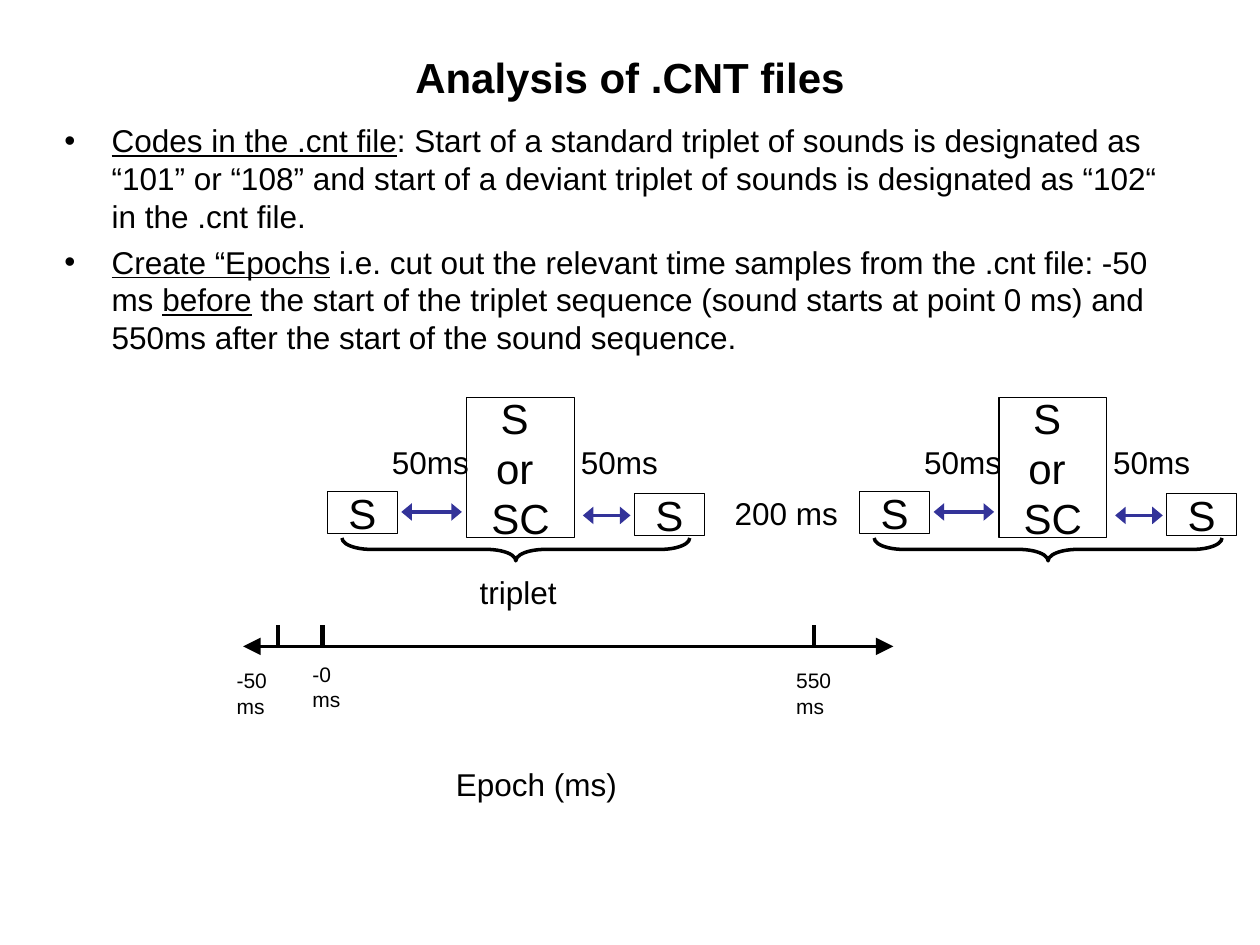
from dataclasses import dataclass
from typing import NamedTuple

from lxml.etree import SubElement
from pptx import Presentation
from pptx.dml.color import RGBColor
from pptx.enum.shapes import MSO_CONNECTOR as Connector
from pptx.enum.shapes import MSO_SHAPE as Preset
from pptx.enum.text import MSO_ANCHOR as Anchor
from pptx.enum.text import MSO_AUTO_SIZE as AutoSize
from pptx.enum.text import PP_ALIGN as Align
from pptx.oxml.ns import qn
from pptx.util import Cm, Pt


@dataclass(frozen=True)
class Theme:
    font: str = "Arial"
    ink: RGBColor = RGBColor(0, 0, 0)
    gap_arrow: RGBColor = RGBColor(0x33, 0x33, 0x99)
    heading: int = 24
    body: int = 18
    small: int = 12
    outline: float = 0.75
    stroke: float = 2
    tick: float = 2.5


class Box(NamedTuple):
    left: float
    top: float
    width: float
    height: float

    def lengths(self, shift: float = 0) -> list:
        return [Cm(self.left + shift), Cm(self.top), Cm(self.width), Cm(self.height)]


class Label(NamedTuple):
    text: str
    box: Box
    size: int
    wrap: bool = True


class Sound(NamedTuple):
    lines: tuple
    box: Box


class Gap(NamedTuple):
    start: float
    end: float
    y: float


class Tick(NamedTuple):
    x: float
    label: Label


THEME = Theme()
TRIPLET_PITCH = 10.73
AXIS_Y = 13.03
AXIS_START, AXIS_END = 4.9, 18.01
TICK_HEIGHT = 0.43

SOUNDS = (
    Sound(("S",), Box(6.6, 9.91, 1.41, 0.85)),
    Sound(("S ", "or ", "SC"), Box(9.41, 8.02, 2.17, 2.82)),
    Sound(("S",), Box(12.79, 9.95, 1.41, 0.85)),
)
GAPS = (Gap(8.09, 9.31, 10.32), Gap(11.75, 12.71, 10.39))
GAP_LABELS = (
    Label("50ms", Box(7.65, 8.8, 2.1, 1.01), THEME.body, False),
    Label("50ms", Box(11.46, 8.81, 2.1, 1.01), THEME.body, False),
)
BRACE = Box(10.17, 7.57, 0.46, 7.01)
TICKS = (
    Tick(5.6, Label("-50 ms", Box(4.52, 13.34, 1.53, 1.26), THEME.small)),
    Tick(6.5, Label("-0 ms", Box(6.05, 13.21, 1.12, 1.26), THEME.small)),
    Tick(16.41, Label("550 ms", Box(15.8, 13.34, 1.85, 1.26), THEME.small)),
)
CAPTIONS = (
    Label("triplet", Box(9.42, 11.43, 2.11, 1.01), THEME.body),
    Label("Epoch (ms)", Box(8.94, 15.3, 3.76, 1.01), THEME.body, False),
    Label("200 ms", Box(14.56, 9.83, 3.12, 1.01), THEME.body),
)
# Each bullet is a list of (text, underlined) runs.
BULLETS = (
    (
        ("Codes in the .cnt file", True),
        (": Start of a standard triplet of sounds is designated as “101” or “108” "
         "and start of a deviant triplet of sounds is designated as “102“ in the .cnt file.", False),
    ),
    (
        ("Create “Epochs", True),
        (" i.e. cut out the relevant time samples from the .cnt file: -50 ms ", False),
        ("before", True),
        (" the start of the triplet sequence (sound starts at point 0 ms) "
         "and 550ms after the start of the sound sequence.", False),
    ),
)


def add_run(paragraph, text: str, size: int, bold: bool = False, underline: bool = False) -> None:
    run = paragraph.add_run()
    run.text = text
    font = run.font
    font.name, font.size = THEME.font, Pt(size)
    font.bold, font.underline = bold, underline
    font.color.rgb = THEME.ink


def add_paragraph(frame, index: int):
    return frame.paragraphs[0] if index == 0 else frame.add_paragraph()


def add_label(shapes, label: Label, shift: float = 0) -> None:
    frame = shapes.add_textbox(*label.box.lengths(shift)).text_frame
    frame.word_wrap = label.wrap
    frame.auto_size = AutoSize.SHAPE_TO_FIT_TEXT
    add_run(frame.paragraphs[0], label.text, label.size)


def add_line(shapes, start: tuple, end: tuple, color: RGBColor, width: float,
             arrow_length: str = "") -> None:
    """Draw a line; an arrow length of "med" or "lg" puts wide heads on both ends."""
    line = shapes.add_connector(Connector.STRAIGHT, *(Cm(v) for v in (*start, *end)))
    line.line.color.rgb = color
    line.line.width = Pt(width)
    if arrow_length:
        for tag in ("a:headEnd", "a:tailEnd"):
            SubElement(line.line._get_or_add_ln(), qn(tag),
                       type="triangle", w="lg", len=arrow_length)
    SubElement(line._element.spPr, qn("a:effectLst"))


def add_outline(shapes, preset, box: Box, shift: float, width: float):
    shape = shapes.add_shape(preset, *box.lengths(shift))
    shape.shadow.inherit = False
    shape.fill.background()
    shape.line.color.rgb = THEME.ink
    shape.line.width = Pt(width)
    return shape


def add_sound(shapes, sound: Sound, shift: float) -> None:
    frame = add_outline(shapes, Preset.RECTANGLE, sound.box, shift, THEME.outline).text_frame
    frame.word_wrap = False
    frame.vertical_anchor = Anchor.MIDDLE
    for index, text in enumerate(sound.lines):
        paragraph = add_paragraph(frame, index)
        paragraph.alignment = Align.CENTER
        add_run(paragraph, text, THEME.heading)


def add_triplet(shapes, shift: float) -> None:
    """Draw three sounds, the gaps between them and the brace below."""
    for sound in SOUNDS:
        add_sound(shapes, sound, shift)
    for gap in GAPS:
        add_line(shapes, (gap.start + shift, gap.y), (gap.end + shift, gap.y),
                 THEME.gap_arrow, THEME.stroke, "med")
    brace = add_outline(shapes, Preset.LEFT_BRACE, BRACE, shift, THEME.stroke)
    brace.adjustments[0] = 1.28
    brace.rotation = 270
    for label in GAP_LABELS:
        add_label(shapes, label, shift)


def add_time_axis(shapes) -> None:
    add_line(shapes, (AXIS_START, AXIS_Y), (AXIS_END, AXIS_Y), THEME.ink, THEME.stroke, "lg")
    for tick in TICKS:
        add_line(shapes, (tick.x, AXIS_Y), (tick.x, AXIS_Y - TICK_HEIGHT), THEME.ink, THEME.tick)
        add_label(shapes, tick.label)


def add_title(slide, text: str) -> None:
    title = slide.shapes.title
    title.left, title.top, title.width, title.height = Box(1.27, 0.77, 22.86, 1.55).lengths()
    title.text_frame.vertical_anchor = Anchor.MIDDLE
    paragraph = title.text_frame.paragraphs[0]
    paragraph.alignment = Align.CENTER
    add_run(paragraph, text, THEME.heading, bold=True)


def add_bullets(shapes) -> None:
    frame = shapes.add_textbox(*Box(1.05, 2.32, 22.86, 15.11).lengths()).text_frame
    frame.word_wrap = True
    indent = Cm(0.95)
    for index, runs in enumerate(BULLETS):
        paragraph = add_paragraph(frame, index)
        paragraph.space_before = Pt(4.5)
        properties = paragraph._p.get_or_add_pPr()
        properties.set("marL", str(indent))
        properties.set("indent", str(-indent))
        SubElement(properties, qn("a:buFont"), typeface=THEME.font)
        SubElement(properties, qn("a:buChar"), char="•")
        for text, underline in runs:
            add_run(paragraph, text, THEME.body, underline=underline)


def main() -> None:
    deck = Presentation()
    deck.slide_width, deck.slide_height = Cm(25.4), Cm(19.05)
    slide = deck.slides.add_slide(deck.slide_layouts[5])
    add_title(slide, "Analysis of .CNT files")
    add_bullets(slide.shapes)
    add_time_axis(slide.shapes)
    add_triplet(slide.shapes, 0)
    add_triplet(slide.shapes.add_group_shape().shapes, TRIPLET_PITCH)
    for caption in CAPTIONS:
        add_label(slide.shapes, caption)
    deck.save("out.pptx")


if __name__ == "__main__":
    main()
